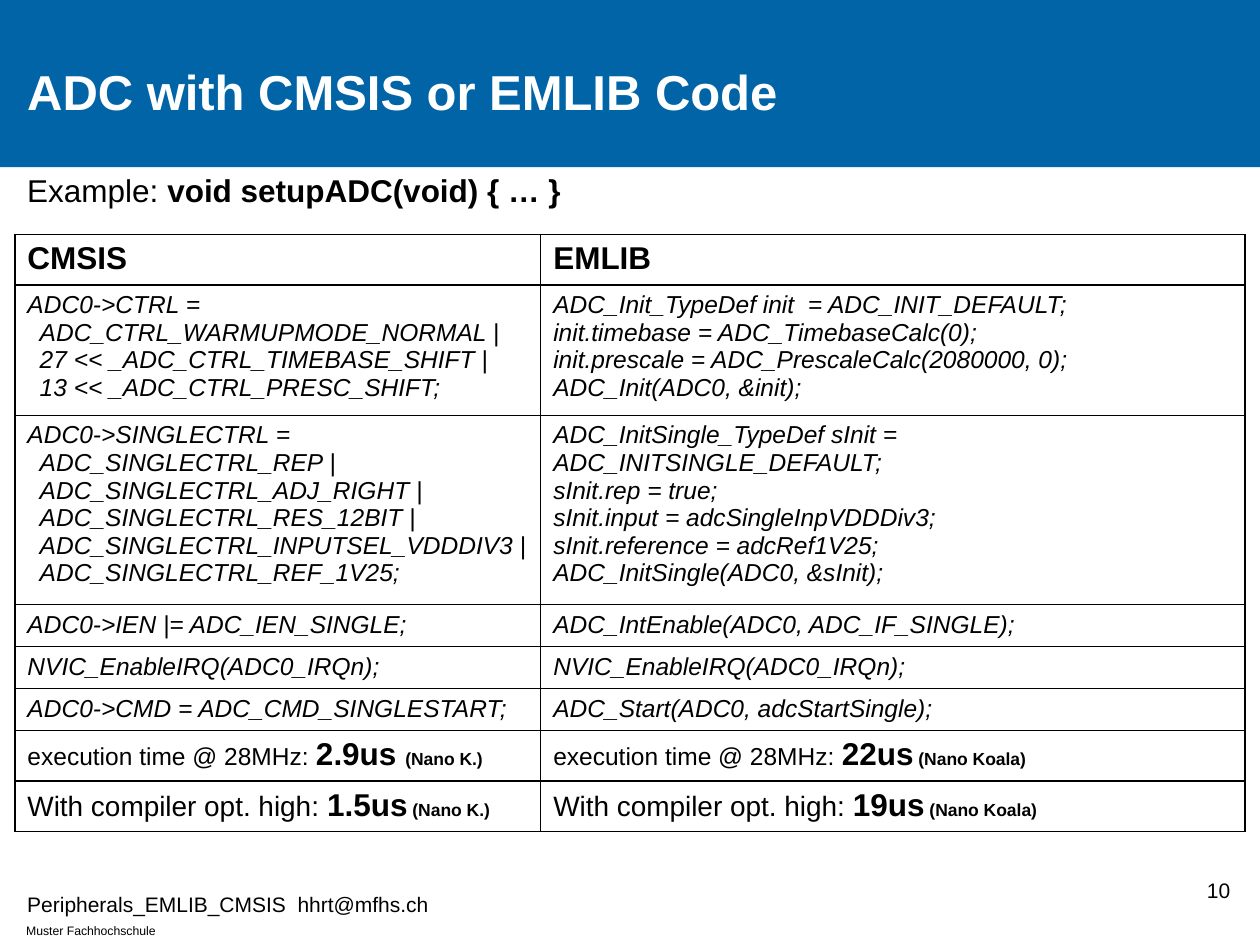
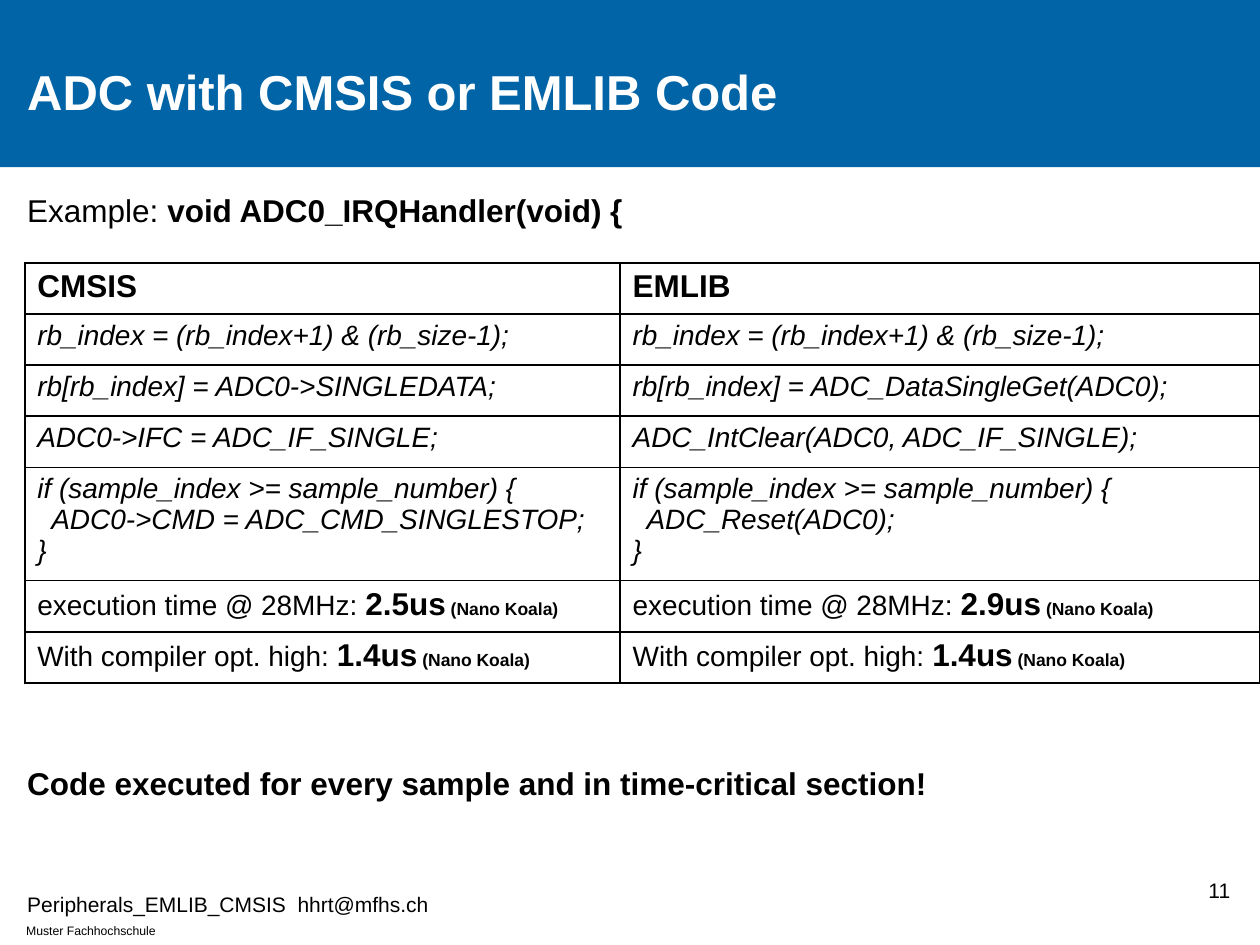
from lxml import etree
from pptx import Presentation
from pptx import util as u
from pptx.dml.color import RGBColor
from pptx.enum import shapes, text
from pptx.oxml import ns

Cm, Pt = u.Cm, u.Pt

COLORS = {"band": "0064A6", "white": "FFFFFF", "black": "000000"}
FONT = "Arial"
SPACE_WIDTH = 0.25  # indent per leading space, in parts of the font size

TITLE = "ADC with CMSIS or EMLIB Code"
FOOTER = "Peripherals_EMLIB_CMSIS  hhrt@mfhs.ch"
SCHOOL = "Muster Fachhochschule"
HEADERS = ("CMSIS", "EMLIB")
EXEC_LABEL = "execution time @ 28MHz: "
OPT_LABEL = "With compiler opt. high: "
CHIP = "(Nano Koala)"
CHIP_SHORT = "(Nano K.)"

# Code cells hold one line each; timing rows hold label, label size and
# (time, chip) for either column. Lengths are in centimetres; rows are
# least heights and grow with their text.
SLIDES = [
    {
        "number": 10,
        "example": "void setupADC(void) { … }",
        "example_top": 3.33,
        "table_at": (0.3, 4.73),
        "table_height": 12.01,
        "cols": (10.6, 14.2),
        "rows": (0.97, 2.01, 2.92, 0.66, 0.66, 0.66, 0.97, 0.97),
        "code_size": 14,
        "code": [
            (["ADC0->CTRL =",
              "  ADC_CTRL_WARMUPMODE_NORMAL |",
              "  27 << _ADC_CTRL_TIMEBASE_SHIFT |",
              "  13 << _ADC_CTRL_PRESC_SHIFT;"],
             ["ADC_Init_TypeDef init  = ADC_INIT_DEFAULT;",
              "init.timebase = ADC_TimebaseCalc(0);",
              "init.prescale = ADC_PrescaleCalc(2080000, 0);",
              "ADC_Init(ADC0, &init);"]),
            (["ADC0->SINGLECTRL =",
              "  ADC_SINGLECTRL_REP |",
              "  ADC_SINGLECTRL_ADJ_RIGHT |",
              "  ADC_SINGLECTRL_RES_12BIT |",
              "  ADC_SINGLECTRL_INPUTSEL_VDDDIV3 |",
              "  ADC_SINGLECTRL_REF_1V25;"],
             ["ADC_InitSingle_TypeDef sInit = ADC_INITSINGLE_DEFAULT;",
              "sInit.rep = true;",
              "sInit.input = adcSingleInpVDDDiv3;",
              "sInit.reference = adcRef1V25;",
              "ADC_InitSingle(ADC0, &sInit);"]),
            (["ADC0->IEN |= ADC_IEN_SINGLE;"],
             ["ADC_IntEnable(ADC0, ADC_IF_SINGLE);"]),
            (["NVIC_EnableIRQ(ADC0_IRQn);"],
             ["NVIC_EnableIRQ(ADC0_IRQn);"]),
            (["ADC0->CMD = ADC_CMD_SINGLESTART;"],
             ["ADC_Start(ADC0, adcStartSingle);"]),
        ],
        "timing": [
            (EXEC_LABEL, 14, ("2.9us ", CHIP_SHORT), ("22us", " " + CHIP)),
            (OPT_LABEL, 16, ("1.5us", " " + CHIP_SHORT), ("19us", " " + CHIP)),
        ],
    },
    {
        "number": 11,
        "example": "void ADC0_IRQHandler(void) {",
        "example_top": 3.73,
        "table_at": (0.5, 5.3),
        "table_height": 8.46,
        "cols": (12, 12.9),
        "rows": (1.03,) * 7,
        "code_size": 16,
        "code": [
            (["rb_index = (rb_index+1) & (rb_size-1);"],
             ["rb_index = (rb_index+1) & (rb_size-1);"]),
            (["rb[rb_index] = ADC0->SINGLEDATA;"],
             ["rb[rb_index] = ADC_DataSingleGet(ADC0);"]),
            (["ADC0->IFC = ADC_IF_SINGLE;"],
             ["ADC_IntClear(ADC0, ADC_IF_SINGLE);"]),
            (["if (sample_index >= sample_number) {",
              "  ADC0->CMD = ADC_CMD_SINGLESTOP;",
              "}"],
             ["if (sample_index >= sample_number) {",
              "  ADC_Reset(ADC0);",
              "}"]),
        ],
        "timing": [
            (EXEC_LABEL, 16, ("2.5us", " " + CHIP), ("2.9us", " " + CHIP)),
            (OPT_LABEL, 16, ("1.4us", " " + CHIP), ("1.4us", " " + CHIP)),
        ],
        "closing": "Code executed for every sample and in time-critical section!",
    },
]


def write(tf, lines, size=18, bold=False, italic=False, color="black", align=None):
    """Fill tf with one paragraph per line; a line is a string or a list of
    (text, format) runs. Leading spaces of a string become an indent."""
    for i, line in enumerate(lines):
        p = tf.paragraphs[0] if i == 0 else tf.add_paragraph()
        if align is not None:
            p.alignment = align
        if isinstance(line, str):
            bare = line.lstrip()
            indent = len(line) - len(bare)
            if indent:
                p._p.get_or_add_pPr().set("marL", str(Pt(indent * SPACE_WIDTH * size)))
            line = [(bare, {})]
        for content, fmt in line:
            r = p.add_run()
            r.text = content
            r.font.name = FONT
            r.font.size = Pt(fmt.get("size", size))
            r.font.bold = fmt.get("bold", bold)
            r.font.italic = italic
            r.font.color.rgb = RGBColor.from_string(COLORS[color])


def add_text(s, at, line, anchor=text.MSO_ANCHOR.TOP, **fmt):
    tf = s.shapes.add_textbox(*map(Cm, at)).text_frame
    tf.word_wrap = True
    tf.vertical_anchor = anchor
    write(tf, [line], **fmt)


def add_frame(s, number):
    """Band, title and footers that every slide carries."""
    band = s.shapes.add_shape(shapes.MSO_SHAPE.RECTANGLE, 0, 0, Cm(25.4), Cm(3.37))
    band.shadow.inherit = False
    band.fill.solid()
    band.fill.fore_color.rgb = RGBColor.from_string(COLORS["band"])
    band.line.fill.background()
    middle = text.MSO_ANCHOR.MIDDLE
    add_text(s, (0.28, 18.49, 4.37, 0.56), SCHOOL, size=7)
    add_text(s, (0.3, 0.53, 19.3, 2.59), TITLE, middle, size=28, bold=True, color="white")
    add_text(s, (0.3, 17.93, 24.6, 0.61), FOOTER, middle, size=12)
    add_text(s, (23.22, 17.44, 1.83, 1.02), str(number), middle, size=12,
             align=text.PP_ALIGN.RIGHT)


def outline(cell):
    """Thin black border on all four sides, no fill."""
    cell.fill.background()
    tc_pr = cell._tc.get_or_add_tcPr()
    for i, side in enumerate(("lnL", "lnR", "lnT", "lnB")):
        ln = etree.Element(ns.qn("a:" + side), w=str(Pt(1)))
        fill = etree.SubElement(ln, ns.qn("a:solidFill"))
        etree.SubElement(fill, ns.qn("a:srgbClr"), val=COLORS["black"])
        tc_pr.insert(i, ln)


def timing_line(label, size, time, chip):
    return [(label, {"size": size}),
            (time, {"size": 18, "bold": True}),
            (chip, {"size": 10, "bold": True})]


def add_comparison(s, d):
    code_fmt = {"size": d["code_size"], "italic": True}
    rows = [([[h] for h in HEADERS], {"bold": True})]
    rows += [(pair, code_fmt) for pair in d["code"]]
    rows += [([[timing_line(label, size, *t)] for t in times], {})
             for label, size, *times in d["timing"]]

    size = sum(d["cols"]), d["table_height"]
    frame = s.shapes.add_table(len(rows), len(HEADERS),
                               *map(Cm, d["table_at"] + size))
    table = frame.table
    table.first_row = table.horz_banding = False
    for col, width in zip(table.columns, d["cols"]):
        col.width = Cm(width)
    for row, height, (cells, fmt) in zip(table.rows, d["rows"], rows):
        row.height = Cm(height)
        for cell, lines in zip(row.cells, cells):
            outline(cell)
            write(cell.text_frame, lines, **fmt)
    frame.height = Cm(d["table_height"])  # row heights have changed it


def main():
    prs = Presentation()
    prs.slide_width, prs.slide_height = Cm(25.4), Cm(19.05)
    for d in SLIDES:
        s = prs.slides.add_slide(prs.slide_layouts[6])
        add_frame(s, d["number"])
        add_text(s, (0.3, d["example_top"], 24.8, 1),
                 [("Example: ", {}), (d["example"], {"bold": True})])
        add_comparison(s, d)
        if "closing" in d:
            add_text(s, (0.3, 15.28, 24.8, 1), d["closing"], bold=True)
    prs.save("out.pptx")


if __name__ == "__main__":
    main()
